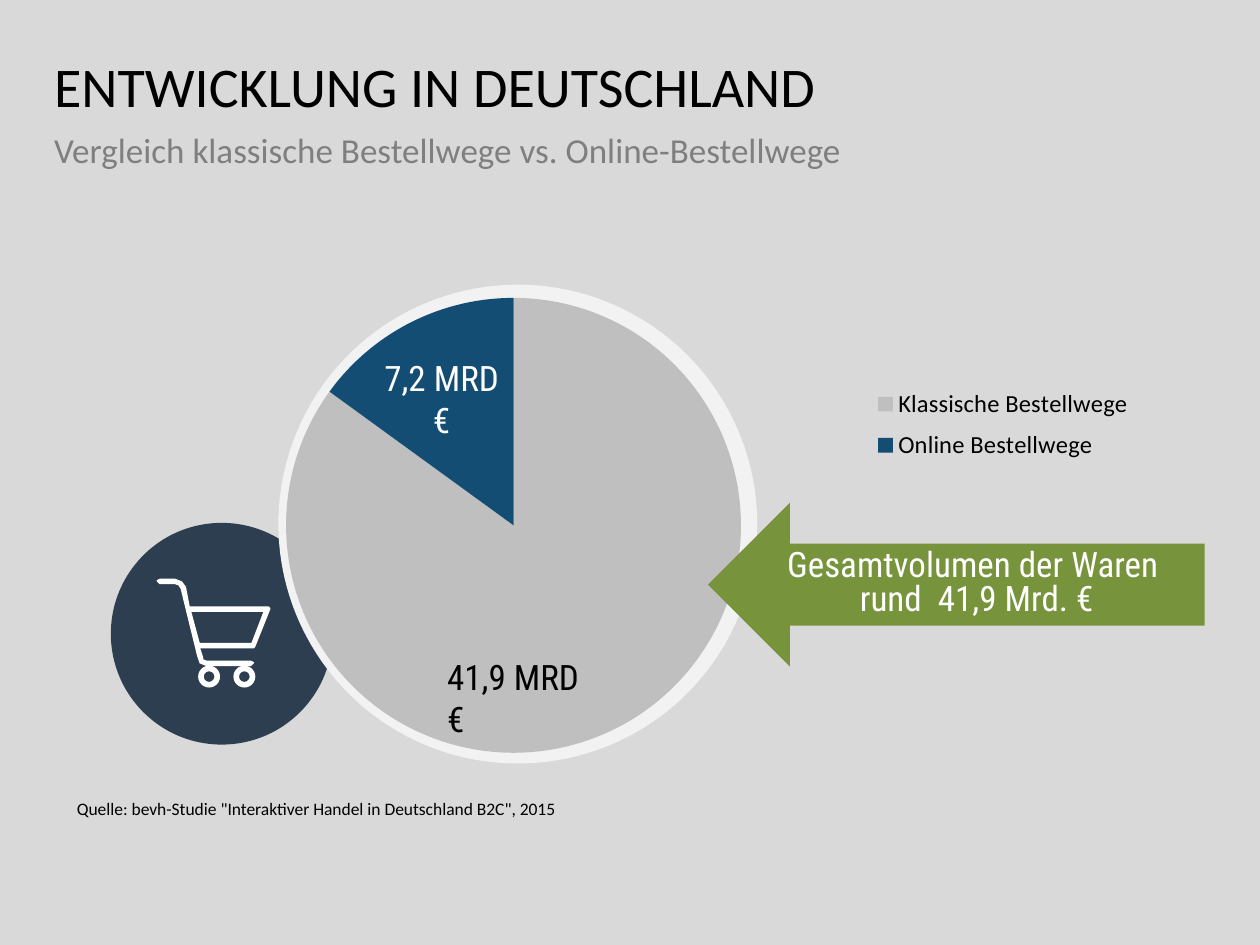
from lxml.etree import SubElement
from pptx import Presentation
from pptx.chart.data import CategoryChartData
from pptx.dml.color import RGBColor
from pptx.enum.chart import XL_CHART_TYPE, XL_LEGEND_POSITION
from pptx.enum.shapes import MSO_SHAPE
from pptx.enum.text import MSO_ANCHOR, PP_ALIGN
from pptx.oxml.ns import qn
from pptx.util import Inches, Pt

BODY_FONT = "Calibri"
LABEL_FONT = "Roboto Condensed"
BLACK = "000000"
WHITE = "FFFFFF"

CART_OUTLINE = [
    (2.14, 4.83), (2.13, 4.82), (1.5, 4.82), (1.47, 4.66), (1.44, 4.62),
    (1.39, 4.6), (1.27, 4.6), (1.25, 4.61), (1.27, 4.63), (1.39, 4.63),
    (1.42, 4.64), (1.44, 4.67), (1.57, 5.2), (1.59, 5.26), (1.64, 5.28),
    (1.99, 5.28), (2.01, 5.26), (1.99, 5.25), (1.64, 5.25), (1.61, 5.24),
    (1.6, 5.2), (1.58, 5.14), (2.01, 5.14), (2.02, 5.13),
]
BASKET_OPENING = [(2, 5.11), (1.58, 5.11), (1.51, 4.85), (2.1, 4.85)]


def color(hex_string):
    return RGBColor.from_string(hex_string)


def style_shape(shape, fill, line=None):
    shape.shadow.inherit = False
    shape.fill.solid()
    shape.fill.fore_color.rgb = color(fill)
    if line:
        shape.line.color.rgb = color(line)
        shape.line.width = Pt(1)
    else:
        shape.line.fill.background()


def add_shape(shapes, kind, left, top, width, height, fill, line=None):
    shape = shapes.add_shape(kind, Inches(left), Inches(top), Inches(width), Inches(height))
    style_shape(shape, fill, line)
    return shape


def set_text(shape, text, size, hex_color, font, alignment=None, spacing=None):
    shape.text_frame.word_wrap = True
    paragraph = shape.text_frame.paragraphs[0]
    paragraph.text = text
    paragraph.alignment = alignment
    paragraph.line_spacing = spacing
    paragraph.font.name = font
    paragraph.font.size = Pt(size)
    paragraph.font.color.rgb = color(hex_color)


def add_label(slide, left, top, width, height, text, hex_color, alignment=None):
    box = slide.shapes.add_textbox(Inches(left), Inches(top), Inches(width), Inches(height))
    set_text(box, text, 20, hex_color, LABEL_FONT, alignment)


def add_line_of_text(slide, left, top, width, height, text, size, hex_color):
    box = slide.shapes.add_textbox(Inches(left), Inches(top), Inches(width), Inches(height))
    frame = box.text_frame
    frame.margin_left = frame.margin_right = frame.margin_top = frame.margin_bottom = 0
    set_text(box, text, size, hex_color, BODY_FONT, spacing=0.9)


def add_outline(shapes, contours, fill):
    """Draw closed contours as one shape; an inner contour leaves a hole."""
    first, *others = [[(Inches(x), Inches(y)) for x, y in contour] for contour in contours]
    builder = shapes.build_freeform(*first[0])
    builder.add_line_segments(first[1:])
    for contour in others:
        builder.move_to(*contour[0])
        builder.add_line_segments(contour[1:])
    style_shape(builder.convert_to_shape(), fill, fill)


def add_cart(slide):
    shapes = slide.shapes.add_group_shape().shapes
    add_shape(shapes, MSO_SHAPE.OVAL, 0.88, 4.15, 1.76, 1.76, "2C3E50")
    add_outline(shapes, [CART_OUTLINE, BASKET_OPENING], WHITE)
    for left in (1.58, 1.86):
        wheel = add_shape(shapes, MSO_SHAPE.DONUT, left, 5.29, 0.16, 0.16, WHITE, WHITE)
        wheel.adjustments[0] = 0.19


def set_layout(parent, position, x, y, width, height, inner=False):
    """Place a chart part by fractions of the chart area."""
    layout = parent.find(qn("c:layout"))
    if layout is None:
        layout = SubElement(parent, qn("c:layout"))
        parent.insert(position, layout)
    manual = SubElement(layout, qn("c:manualLayout"))
    settings = [("xMode", "edge"), ("yMode", "edge"), ("x", x), ("y", y), ("w", width), ("h", height)]
    if inner:
        settings.insert(0, ("layoutTarget", "inner"))
    for name, value in settings:
        SubElement(manual, qn(f"c:{name}")).set("val", str(value))


def add_pie(slide):
    data = CategoryChartData()
    data.categories = ["Klassische Bestellwege", "Online Bestellwege"]
    data.add_series("Series 1", (85, 15))
    chart = slide.shapes.add_chart(
        XL_CHART_TYPE.PIE, Inches(1.25), Inches(2.22), Inches(7.85), Inches(3.9), data
    ).chart
    chart.has_title = False
    chart.font.name = BODY_FONT
    chart.font.size = Pt(18)
    chart.font.color.rgb = color(BLACK)
    plot = chart.plots[0]
    plot.vary_by_categories = True
    for index, fill in enumerate(("BFBFBF", "144D73")):
        point_format = plot.series[0].points[index].format
        point_format.fill.solid()
        point_format.fill.fore_color.rgb = color(fill)
        point_format.line.fill.background()
    chart.has_legend = True
    legend = chart.legend
    legend.position = XL_LEGEND_POSITION.RIGHT
    legend.include_in_layout = False
    legend.font.size = Pt(14)
    legend.font.name = BODY_FONT
    legend.font.color.rgb = color(BLACK)

    plot_area = chart.element.find(".//" + qn("c:plotArea"))
    set_layout(plot_area, 0, 0.13, 0.03, 0.46, 0.94, inner=True)
    legend_element = chart.element.find(".//" + qn("c:legend"))
    set_layout(legend_element, 1, 0.72, 0.2, 0.27, 0.19)


def add_total_arrow(slide):
    arrow = add_shape(slide.shapes, MSO_SHAPE.LEFT_ARROW, 5.62, 3.99, 3.94, 1.3, "77933C")
    arrow.text_frame.vertical_anchor = MSO_ANCHOR.MIDDLE
    text = "Gesamtvolumen der Waren \vrund  41,9 Mrd. €"
    set_text(arrow, text, 20, WHITE, LABEL_FONT, PP_ALIGN.CENTER, 0.8)


def main():
    presentation = Presentation()
    presentation.slide_width = Inches(10)
    presentation.slide_height = Inches(7.5)
    slide = presentation.slides.add_slide(presentation.slide_layouts[6])
    slide.background.fill.solid()
    slide.background.fill.fore_color.rgb = color("D9D9D9")

    add_line_of_text(slide, 0.43, 0.47, 9.13, 0.55, "ENTWICKLUNG IN DEUTSCHLAND", 32, BLACK)
    add_line_of_text(slide, 0.43, 1.06, 9.13, 0.59,
                     "Vergleich klassische Bestellwege vs. Online-Bestellwege", 20, "7F7F7F")
    add_cart(slide)
    add_shape(slide.shapes, MSO_SHAPE.OVAL, 2.21, 2.26, 3.8, 3.8, "F2F2F2")
    add_pie(slide)
    add_label(slide, 2.93, 2.78, 1.15, 0.45, "7,2 MRD €", WHITE, PP_ALIGN.CENTER)
    add_label(slide, 3.45, 5.15, 1.29, 0.45, "41,9 MRD €", BLACK)
    add_total_arrow(slide)
    add_line_of_text(slide, 0.61, 6.35, 4.25, 0.23,
                     'Quelle: bevh-Studie "Interaktiver Handel in Deutschland B2C", 2015', 10, BLACK)
    presentation.save("out.pptx")


if __name__ == "__main__":
    main()
